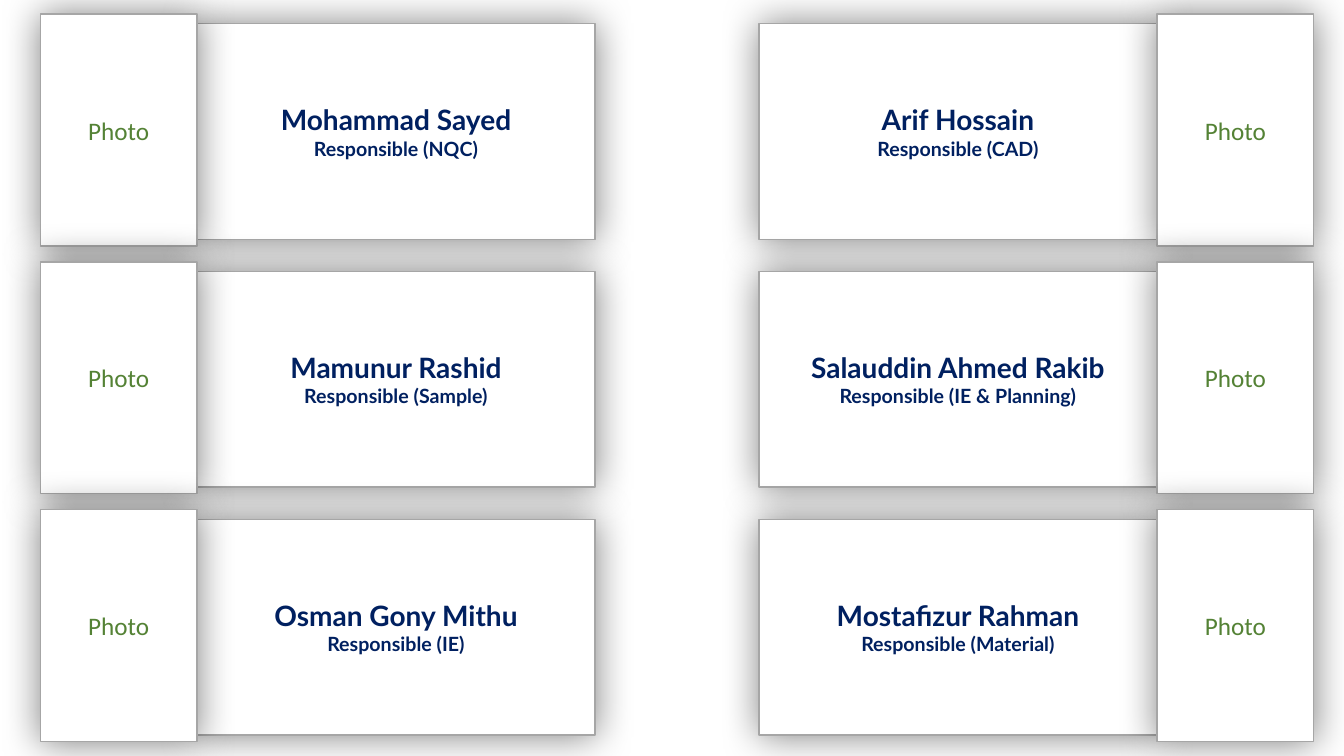
from lxml.etree import SubElement
from pptx import Presentation
from pptx.dml.color import RGBColor
from pptx.enum.shapes import MSO_SHAPE
from pptx.enum.text import MSO_ANCHOR, PP_ALIGN
from pptx.oxml.ns import qn
from pptx.util import Pt

NAME = {"name": "Lato", "size": Pt(20), "bold": True}
ROLE = {"name": "Lato", "size": Pt(14), "bold": True}
PHOTO = {"name": "Calibri", "size": Pt(18), "bold": False}
NAVY, GREEN, WHITE, GREY, BLACK = "002060", "548235", "FFFFFF", "A6A6A6", "000000"

TEAM = [
    [("Mohammad Sayed", "Responsible (NQC)"), ("Arif Hossain", "Responsible (CAD)")],
    [("Mamunur Rashid", "Responsible (Sample)"),
     ("Salauddin Ahmed Rakib", "Responsible (IE & Planning)")],
    [("Osman Gony Mithu", "Responsible (IE)"), ("Mostafizur Rahman", "Responsible (Material)")],
]
COLUMN_LEFTS = (28.8, 542.2)
FIRST_TOP, ROW_PITCH = 10.1, 177
CARD_WIDTH, CARD_HEIGHT = 396.2, 165.6
PHOTO_WIDTH, PANEL_INSET = 112, 5.8


def color(hex_value):
    return RGBColor.from_string(hex_value)


def add_soft_shadow(box, blur=28, opacity=50):
    """Spread an even, blurred shadow on all sides of the box."""
    box.shadow.inherit = False
    effects = box.element.spPr.find(qn("a:effectLst"))
    shadow = SubElement(effects, qn("a:outerShdw"), blurRad=str(Pt(blur)), dist="0",
                        dir="0", algn="ctr", rotWithShape="0")
    tint = SubElement(shadow, qn("a:srgbClr"), val=BLACK)
    SubElement(tint, qn("a:alpha"), val=str(opacity * 1000))


def add_box(card, left, top, width, height, lines, text_color):
    """Add a framed white box; lines holds pairs of text and font format."""
    box = card.shapes.add_shape(MSO_SHAPE.RECTANGLE, Pt(left), Pt(top), Pt(width), Pt(height))
    box.fill.solid()
    box.fill.fore_color.rgb = color(WHITE)
    box.line.color.rgb = color(GREY)
    box.line.width = Pt(1)
    add_soft_shadow(box)
    frame = box.text_frame
    frame.word_wrap = True
    frame.vertical_anchor = MSO_ANCHOR.MIDDLE
    for index, (text, font_format) in enumerate(lines):
        paragraph = frame.add_paragraph() if index else frame.paragraphs[0]
        paragraph.alignment = PP_ALIGN.CENTER
        run = paragraph.add_run()
        run.text = text
        run.font.color.rgb = color(text_color)
        for attribute, value in font_format.items():
            setattr(run.font, attribute, value)


def add_member_card(slide, left, top, width, height, member, photo_on_right):
    card = slide.shapes.add_group_shape()
    panel_width = width - PHOTO_WIDTH
    panel_left = left if photo_on_right else left + PHOTO_WIDTH
    photo_left = left + panel_width if photo_on_right else left
    name, role = member
    add_box(card, panel_left, top + PANEL_INSET + 1, panel_width, height - 2 * PANEL_INSET,
            [(name, NAME), (role, ROLE)], NAVY)
    add_box(card, photo_left, top, PHOTO_WIDTH, height, [("Photo", PHOTO)], GREEN)


def main():
    deck = Presentation()
    deck.slide_width, deck.slide_height = Pt(960), Pt(540)
    slide = deck.slides.add_slide(deck.slide_layouts[6])
    for row, members in enumerate(TEAM):
        for column, member in enumerate(members):
            add_member_card(slide, COLUMN_LEFTS[column], FIRST_TOP + row * ROW_PITCH,
                            CARD_WIDTH, CARD_HEIGHT, member, photo_on_right=column == 1)
    deck.save("out.pptx")


if __name__ == "__main__":
    main()
